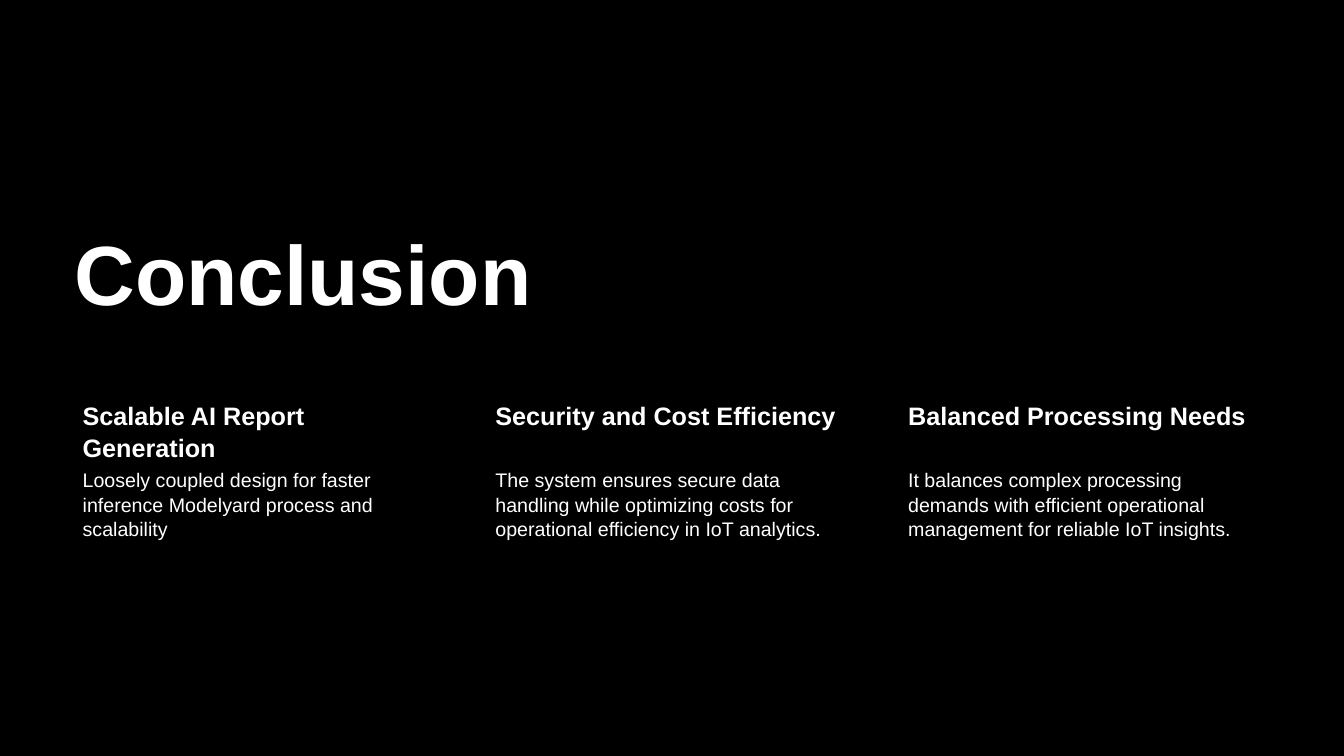
from dataclasses import dataclass

from pptx import Presentation
from pptx.dml.color import RGBColor
from pptx.enum import text
from pptx.util import Pt


@dataclass(frozen=True)
class Theme:
    back: str = "000000"
    ink: str = "FFFFFF"
    face: str = "Arial"
    title: int = 60
    head: int = 18
    body: int = 14


THEME = Theme()
LEFT, STEP, WIDTH = 48.24, 294.84, 267.84
POINTS = [
    ("Scalable AI Report Generation",
     "Loosely coupled design for faster inference Modelyard process and scalability"),
    ("Security and Cost Efficiency",
     "The system ensures secure data handling while optimizing costs for "
     "operational efficiency in IoT analytics."),
    ("Balanced Processing Needs",
     "It balances complex processing demands with efficient operational "
     "management for reliable IoT insights."),
]


def apply(item, values):
    for name, value in values.items():
        setattr(item, name, value)


def write(shape, words, size, bold, pads, anchor, lead):
    frame = shape.text_frame
    frame.text = words
    sides = ("margin_left", "margin_top", "margin_right", "margin_bottom")
    apply(frame, {side: Pt(pad) for side, pad in zip(sides, pads)})
    apply(frame, {"word_wrap": True, "vertical_anchor": anchor,
                  "auto_size": text.MSO_AUTO_SIZE.NONE})
    line = frame.paragraphs[0]
    apply(line, {"alignment": text.PP_ALIGN.LEFT, "line_spacing": lead})
    font = line.runs[0].font
    apply(font, {"name": THEME.face, "size": Pt(size), "bold": bold})
    font.color.rgb = RGBColor.from_string(THEME.ink)


def add_title(slide, words):
    title = slide.shapes.title
    apply(title, {"left": Pt(LEFT), "top": Pt(145.44),
                  "width": Pt(578.16), "height": Pt(89.28)})
    write(title, words, THEME.title, True, (5, 3.6, 7.2, 3.6),
          text.MSO_ANCHOR.BOTTOM, 0.9)


def add_text(slide, words, left, top, height, size, bold, pad):
    box = slide.shapes.add_textbox(Pt(left), Pt(top), Pt(WIDTH), Pt(height))
    write(box, words, size, bold, (10.8, pad, pad, pad),
          text.MSO_ANCHOR.TOP, 1.05)


def add_point(slide, left, head, body):
    add_text(slide, head, left, 282.96, 48.96, THEME.head, True, 2.16)
    add_text(slide, body, left, 331.92, 148.32, THEME.body, False, 1.44)


def main():
    deck = Presentation()
    apply(deck, {"slide_width": Pt(960), "slide_height": Pt(540)})
    slide = deck.slides.add_slide(deck.slide_layouts[5])
    fill = slide.background.fill
    fill.solid()
    fill.fore_color.rgb = RGBColor.from_string(THEME.back)
    add_title(slide, "Conclusion")
    for col, (head, body) in enumerate(POINTS):
        add_point(slide, LEFT + col * STEP, head, body)
    deck.save("out.pptx")


if __name__ == "__main__":
    main()
